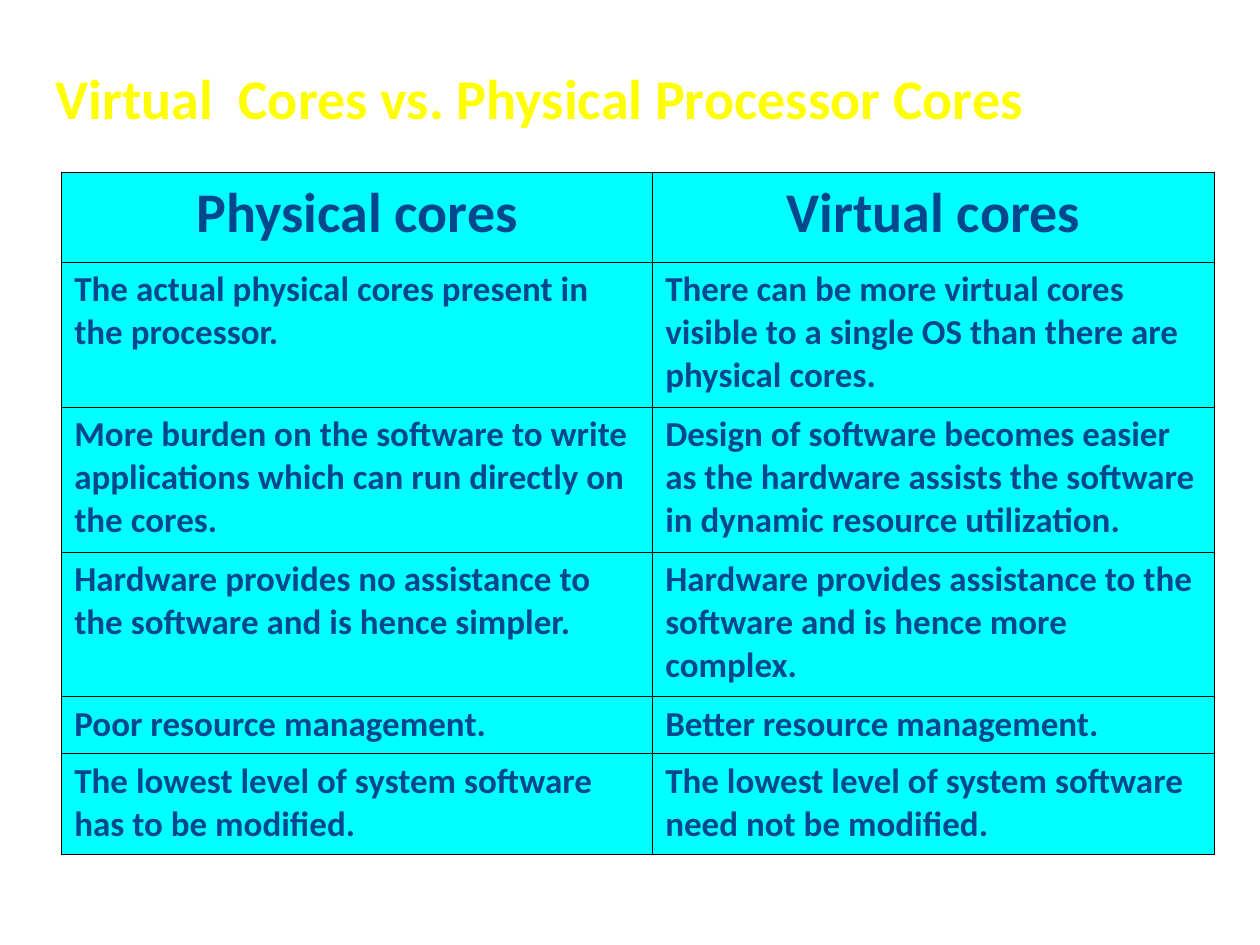
from dataclasses import dataclass

from lxml import etree
from pptx import Presentation
from pptx import util as u
from pptx.dml.color import RGBColor
from pptx.enum import text
from pptx.oxml import ns


@dataclass(frozen=True)
class Theme:
    font: str = "Calibri"
    title_color: str = "FFFF00"
    cell_color: str = "00478E"
    cell_fill: str = "00FFFF"
    border_color: str = "000000"
    border_width: float = 0.45
    heading_size: int = 32
    body_size: int = 20


THEME = Theme()
SLIDE_SIZE = (10, 7.5)
TITLE_BOX = (0.34, 0.45, 9.19, 0.64)
TABLE_ORIGIN = (0.49, 1.37)
COLUMN_WIDTHS = (4.69, 4.46)
ROW_HEIGHTS = (0.71, 1.15, 1.15, 1.15, 0.45, 0.8)
TITLE = "Virtual  Cores vs. Physical Processor Cores"
COMPARISON = (
    ("Physical cores", "Virtual cores"),
    ("The actual physical cores present in the processor.",
     "There can be more virtual cores visible to a single OS than there are physical cores."),
    ("More burden on the software to write applications which can run directly on the cores.",
     "Design of software becomes easier as the hardware assists the software in dynamic resource utilization."),
    ("Hardware provides no assistance to the software and is hence simpler.",
     "Hardware provides assistance to the software and is hence more complex."),
    ("Poor resource management.", "Better resource management."),
    ("The lowest level of system software has to be modified.",
     "The lowest level of system software need not be modified."),
)


def add_child(parent, tag, **attributes):
    return etree.SubElement(parent, ns.qn(tag), attributes)


def format_paragraph(paragraph, size, color, alignment):
    paragraph.alignment = alignment
    for run in paragraph.runs:
        run.font.size = u.Pt(size)
        run.font.bold = True
        run.font.color.rgb = RGBColor.from_string(color)
        run.font.name = THEME.font


def add_text_shadow(run):
    effects = etree.Element(ns.qn("a:effectLst"))
    shadow = add_child(effects, "a:outerShdw", blurRad="38100", dist="38100", dir="2700000")
    add_child(shadow, "a:srgbClr", val=THEME.border_color)
    run.font.fill.solid()
    run.font.color.rgb = RGBColor.from_string(THEME.title_color)
    run.font._element.find(ns.qn("a:solidFill")).addnext(effects)


def set_title(slide):
    title = slide.shapes.title
    title.left, title.top, title.width, title.height = map(u.Inches, TITLE_BOX)
    frame = title.text_frame
    frame.text = TITLE
    frame.word_wrap = True
    frame.auto_size = text.MSO_AUTO_SIZE.SHAPE_TO_FIT_TEXT
    frame.vertical_anchor = text.MSO_ANCHOR.MIDDLE
    paragraph = frame.paragraphs[0]
    format_paragraph(paragraph, THEME.heading_size, THEME.title_color, text.PP_ALIGN.LEFT)
    add_text_shadow(paragraph.runs[0])


def set_borders(cell):
    properties = cell._tc.get_or_add_tcPr()
    for side in ("L", "R", "T", "B"):
        line = add_child(properties, f"a:ln{side}", w=str(u.Pt(THEME.border_width)))
        fill = add_child(line, "a:solidFill")
        add_child(fill, "a:srgbClr", val=THEME.border_color)


def format_cell(cell, wording, is_heading):
    set_borders(cell)
    cell.fill.solid()
    cell.fill.fore_color.rgb = RGBColor.from_string(THEME.cell_fill)
    cell.text_frame.text = wording
    size = THEME.heading_size if is_heading else THEME.body_size
    alignment = text.PP_ALIGN.CENTER if is_heading else text.PP_ALIGN.LEFT
    format_paragraph(cell.text_frame.paragraphs[0], size, THEME.cell_color, alignment)


def add_comparison_table(slide):
    box = (*TABLE_ORIGIN, sum(COLUMN_WIDTHS), sum(ROW_HEIGHTS))
    table = slide.shapes.add_table(
        len(ROW_HEIGHTS), len(COLUMN_WIDTHS), *map(u.Inches, box)).table
    for column, width in zip(table.columns, COLUMN_WIDTHS):
        column.width = u.Inches(width)
    for index, (row, height) in enumerate(zip(table.rows, ROW_HEIGHTS)):
        row.height = u.Inches(height)
        for cell, wording in zip(row.cells, COMPARISON[index]):
            format_cell(cell, wording, index == 0)


def main():
    presentation = Presentation()
    presentation.slide_width, presentation.slide_height = map(u.Inches, SLIDE_SIZE)
    slide = presentation.slides.add_slide(presentation.slide_layouts.get_by_name("Title Only"))
    set_title(slide)
    add_comparison_table(slide)
    presentation.save("out.pptx")


if __name__ == "__main__":
    main()
